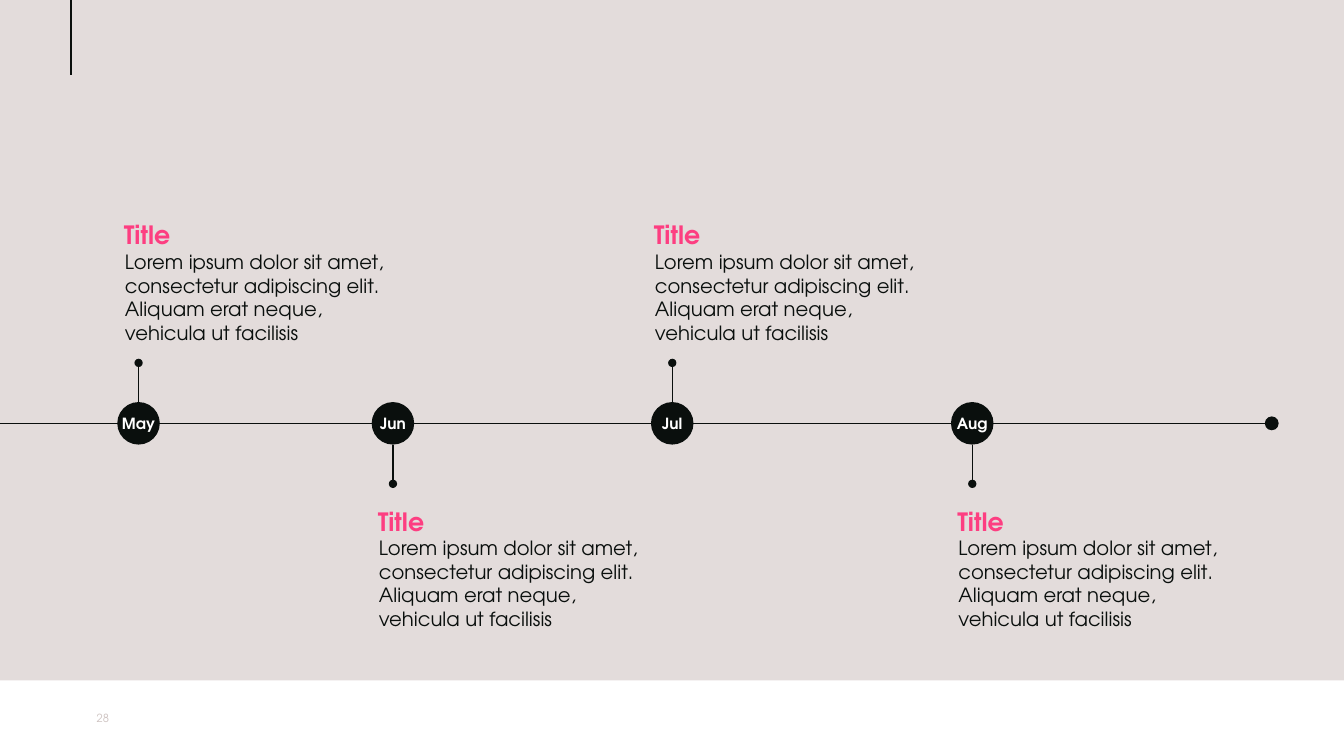
"""Build a monthly timeline slide with labels alternating above and below the axis."""
from lxml.etree import SubElement
from pptx import Presentation
from pptx.dml.color import RGBColor
from pptx.enum.shapes import MSO_CONNECTOR, MSO_SHAPE
from pptx.enum.text import MSO_ANCHOR, PP_ALIGN
from pptx.oxml.ns import qn
from pptx.util import Pt

FONT = "TeX Gyre Adventor"
COLORS = {
    "background": "E3DCDB",
    "ink": "0A0F0D",
    "accent": "FD3E81",
    "white": "FFFFFF",
    "number": "CEC3C1",
}
BODY = (
    "Lorem ipsum dolor sit amet, consectetur adipiscing elit. "
    "Aliquam erat neque, vehicula ut facilisis"
)
AXIS = 302.4
RADIUS = 15.2
PIN_REACH = 43.2


def write(para, text, size, color, bold=False, align=PP_ALIGN.LEFT):
    para.alignment = align
    span = para.add_run()
    span.text = text
    span.font.name = FONT
    span.font.size = Pt(size)
    span.font.bold = bold
    span.font.color.rgb = RGBColor.from_string(COLORS[color])


deck = Presentation()
deck.slide_width, deck.slide_height = Pt(960), Pt(540)
page = deck.slides.add_slide(deck.slide_layouts[6])
page.background.fill.solid()
page.background.fill.fore_color.rgb = RGBColor.from_string(COLORS["background"])

footer = page.shapes.add_shape(MSO_SHAPE.RECTANGLE, 0, Pt(486), Pt(960), Pt(54))
footer.shadow.inherit = False
footer.fill.solid()
footer.fill.fore_color.rgb = RGBColor.from_string(COLORS["white"])
footer.line.fill.background()

number_box = page.shapes.add_textbox(Pt(61.9), Pt(501.1), Pt(38.9), Pt(23))
number_box.text_frame.word_wrap = True
number_box.text_frame.vertical_anchor = MSO_ANCHOR.MIDDLE
write(number_box.text_frame.paragraphs[0], "28", size=8, color="number")

months = [
    ("May", 99, 81.4, -1),
    ("Jun", 280.7, 262.8, 1),
    ("Jul", 480.2, 460, -1),
    ("Aug", 694.5, 676.8, 1),
]

lines = [
    (50.4, 0, 50.4, 53.3, 1.5, None),
    (908.4, AXIS, 0, AXIS, 1, "lg"),
]
for month, center, text_left, side in months:
    lines.append((center, AXIS + side * PIN_REACH, center, AXIS + side * RADIUS, 1, "med"))

for start_x, start_y, end_x, end_y, width, dot in lines:
    line = page.shapes.add_connector(
        MSO_CONNECTOR.STRAIGHT, Pt(start_x), Pt(start_y), Pt(end_x), Pt(end_y)
    )
    line.line.width = Pt(width)
    line.line.color.rgb = RGBColor.from_string(COLORS["ink"])
    if dot:
        SubElement(line.line._get_or_add_ln(), qn("a:headEnd"), type="oval", w=dot, len=dot)
    SubElement(line._element.spPr, qn("a:effectLst"))

for month, center, text_left, side in months:
    marker = page.shapes.add_shape(
        MSO_SHAPE.OVAL, Pt(center - RADIUS), Pt(AXIS - RADIUS), Pt(2 * RADIUS), Pt(2 * RADIUS)
    )
    marker.shadow.inherit = False
    marker.fill.solid()
    marker.fill.fore_color.rgb = RGBColor.from_string(COLORS["ink"])
    marker.line.fill.background()
    marker.text_frame.word_wrap = False
    marker.text_frame.vertical_anchor = MSO_ANCHOR.MIDDLE
    write(marker.text_frame.paragraphs[0], month, size=11, color="white", bold=True,
          align=PP_ALIGN.CENTER)

    text_top = 153.4 if side < 0 else 357.8
    box = page.shapes.add_textbox(Pt(text_left), Pt(text_top), Pt(212.4), Pt(97.2))
    box.text_frame.word_wrap = True
    write(box.text_frame.paragraphs[0], "Title", size=18, color="accent", bold=True)
    body = box.text_frame.add_paragraph()
    body.level = 1
    body._p.get_or_add_pPr().set("marL", str(Pt(0.7)))
    body._p.get_or_add_pPr().set("indent", "0")
    write(body, BODY, size=14, color="ink")

deck.save("out.pptx")
